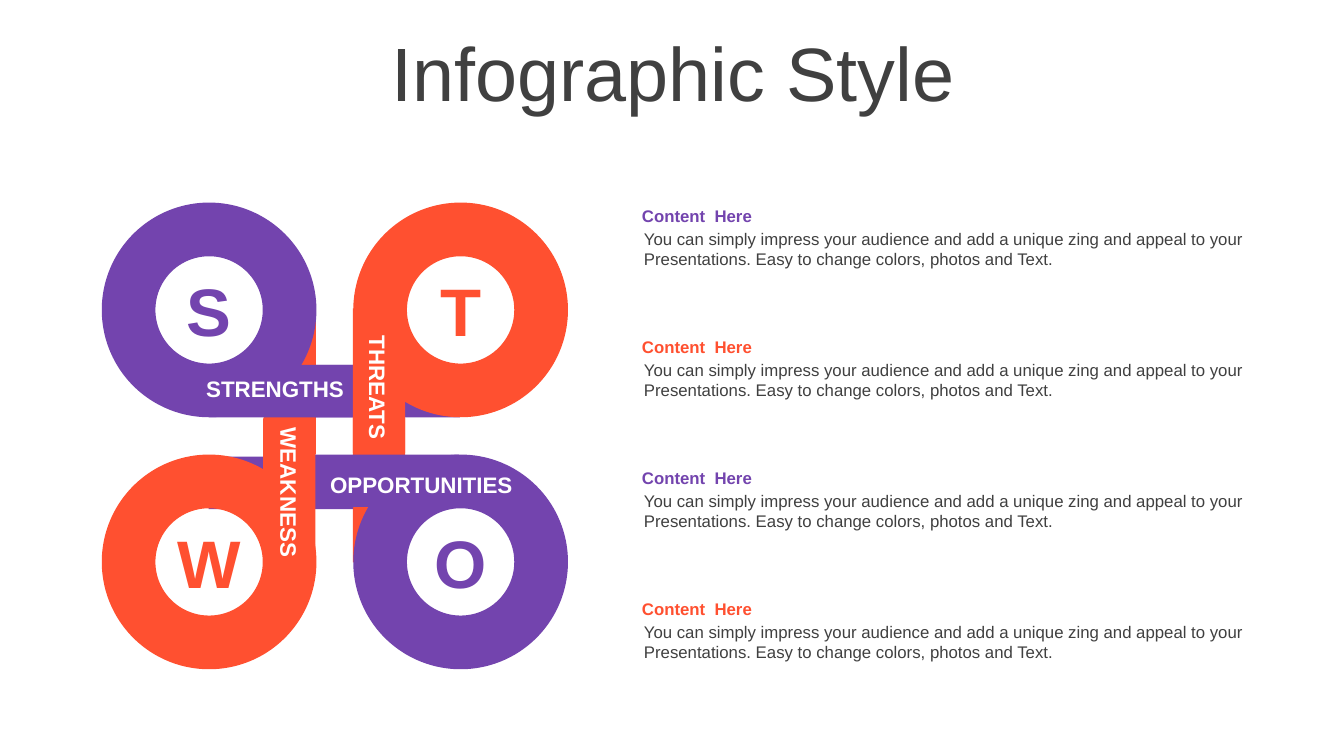
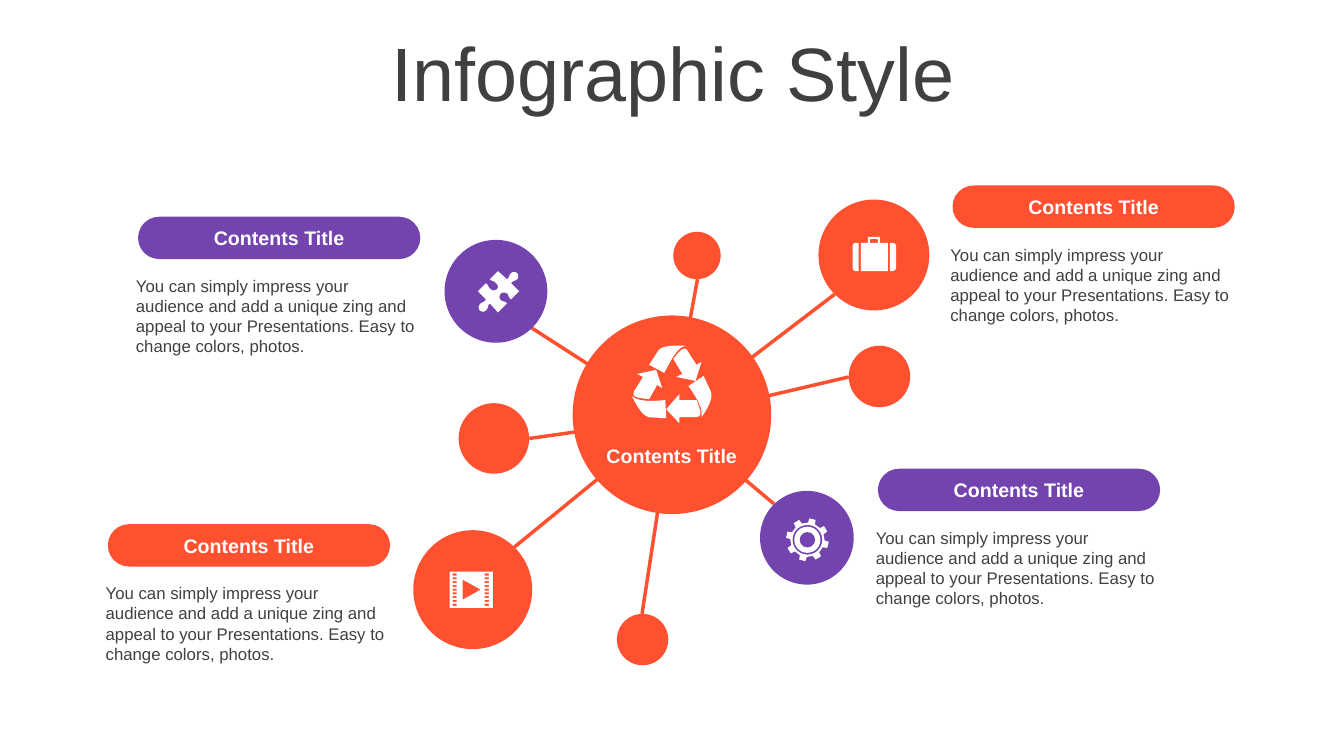
"""Build two infographic slides: a SWOT knot and a hub with satellites."""
import math
from dataclasses import dataclass

import pptx
import pptx.dml.color
import pptx.enum.shapes
import pptx.enum.text
import pptx.oxml.ns
import pptx.shapes.autoshape
import pptx.slide
import pptx.util
from lxml import etree

RGB = pptx.dml.color.RGBColor
SHAPE = pptx.enum.shapes.MSO_SHAPE
ALIGN = pptx.enum.text.PP_ALIGN
ANCHOR = pptx.enum.text.MSO_ANCHOR

PURPLE = RGB(0x73, 0x44, 0xAE)
ORANGE = RGB(0xFF, 0x50, 0x30)
WHITE = RGB(0xFF, 0xFF, 0xFF)
GREY = RGB(0x40, 0x40, 0x40)
FONT = "Arial"

WIDTH, HEIGHT = 12192000, 6858000
COLUMNS = 80
CELL = WIDTH / COLUMNS
DOT = 0.06
FINE = 100

DONUT = 12.78
BAR_LENGTH, BAR_WIDTH = 8.6, 3.12
HUB_X, HUB_Y, HUB_SIZE = 40, 24.69, 11.82
LINES_Y = 24.9

BLURB = ("You can simply impress your audience and add a unique zing and "
         "appeal to your Presentations. Easy to change colors, photos")

PUZZLE = """M 39 2 C 40 3 41 6 39 8 C 37 10 35 9 33 12 L 41 20 L 33 28
C 30 26 31 24 29 22 C 27 21 24 21 23 22 C 21 24 21 27 23 29 C 26 31 26 29 29 32
L 20 41 L 12 32 C 9 35 11 36 8 39 C 6 41 3 40 2 39 C 1 37 0 35 2 33
C 4 30 6 32 8 28 L 0 20 L 8 12 C 11 14 10 16 13 18 C 15 20 17 19 19 18
C 20 17 21 14 18 12 C 16 9 15 11 12 8 L 20 0 L 29 8 C 32 6 30 5 33 2
C 35 0 38 1 39 2"""
SUITCASE = """M 37 6 L 40 6 C 41 6 43 7 43 9 L 43 31 C 43 32 41 34 40 34 L 37 34
M 3 6 L 6 6 L 6 34 L 3 34 C 1 34 0 32 0 31 L 0 9 C 0 7 1 6 3 6
M 19 2 C 18 2 17 3 17 3 L 17 6 L 25 6 L 25 3 C 25 3 24 2 24 2
M 17 0 L 26 0 C 27 0 27 0 27 1 L 27 6 L 35 6 L 35 34 L 8 34 L 8 6 L 15 6
L 15 1 C 15 0 16 0 17 0"""
RECYCLE = """M 0 50 C 6 56 21 55 33 54 L 34 72 L 17 71 C 11 70 5 61 0 50
M 47 48 L 47 54 L 64 54 C 67 62 71 70 64 71 L 47 71 L 47 77 L 34 63
M 71 30 L 78 45 C 81 51 76 61 69 71 C 71 62 63 50 56 40
M 24 24 L 30 42 L 25 39 L 17 53 C 8 52 -1 52 2 45 L 11 31 L 5 28
M 52 3 C 53 3 54 3 55 5 L 64 19 L 69 16 L 63 35 L 44 31 L 50 28 L 41 13
C 45 8 49 3 52 3
M 44 0 C 47 0 50 0 53 0 C 44 2 38 16 32 27 L 17 19 L 26 5 C 29 1 35 0 44 0"""

Point = tuple[float, float]
Contour = list[Point]
Shape = pptx.shapes.autoshape.Shape
Slide = pptx.slide.Slide


@dataclass(frozen=True)
class Arm:
    """One SWOT ring, its bar, the bar passing under it and its label."""
    word: str
    color: RGB
    ring: Point
    under: Point
    bar: Point
    label: Point
    upright: bool


@dataclass(frozen=True)
class Satellite:
    """A disc around the hub, with the point where its line starts."""
    center: Point
    size: float
    joint: Point
    color: RGB = ORANGE


@dataclass(frozen=True)
class Card:
    """A pill heading with a paragraph below."""
    left: float
    top: float
    color: RGB


ARMS = [
    Arm("STRENGTHS", PURPLE, (6.06, 12.06), (15.69, 18.45), (12.42, 21.72), (16.38, 23.13), False),
    Arm("THREATS", ORANGE, (21.03, 12.06), (18.78, 21.72), (21, 18.36), (22.5, 23.07), True),
    Arm("OPPORTUNITIES", PURPLE, (21.03, 27.06), (21, 24.87), (18.72, 27.06), (25.08, 28.83), False),
    Arm("WEAKNESS", ORANGE, (6.06, 27.06), (12.42, 27.18), (15.66, 24.9), (17.22, 29.31), True),
]
SATELLITES = [
    Satellite((52.02, 15.18), 6.6, (49.68, 17.52)),
    Satellite((29.52, 17.34), 6.12, (31.62, 19.5), PURPLE),
    Satellite((28.14, 35.1), 7.08, (30.6, 32.58)),
    Satellite((48.03, 32.01), 5.58, (46.08, 30), PURPLE),
    Satellite((52.35, 22.41), 3.66, (50.52, 22.44)),
    Satellite((29.4, 26.1), 4.2, (31.5, 26.1)),
    Satellite((38.25, 38.07), 3.06, (38.22, 36.54)),
    Satellite((41.49, 15.21), 2.82, (41.52, 16.62)),
]
CARDS = [
    Card(56.7, 11.04, ORANGE),
    Card(52.26, 27.9, PURPLE),
    Card(6.42, 31.2, ORANGE),
    Card(8.22, 12.9, PURPLE),
]


def cells(*values: float) -> list[int]:
    """Turn grid cells into EMU."""
    return [round(v * CELL) for v in values]


def paint(sp: Shape, color: RGB) -> Shape:
    """Give a shape a flat fill without line or shadow."""
    sp.shadow.inherit = False
    sp.fill.solid()
    sp.fill.fore_color.rgb = color
    sp.line.fill.background()
    return sp


def write(sp: Shape, text: str, size: float, color: RGB, bold: bool = True,
          align: ALIGN = ALIGN.CENTER, anchor: ANCHOR = ANCHOR.MIDDLE) -> None:
    """Set and format the text of a shape."""
    tf = sp.text_frame
    tf.word_wrap = True
    tf.vertical_anchor = anchor
    tf.text = text
    p = tf.paragraphs[0]
    p.alignment = align
    font = p.runs[0].font
    font.name, font.size, font.bold = FONT, pptx.util.Pt(size), bold
    font.color.rgb = color


def add_shape(slide: Slide, kind: SHAPE, x: float, y: float, w: float,
              h: float, color: RGB) -> Shape:
    """Add a flat preset shape."""
    return paint(slide.shapes.add_shape(kind, *cells(x, y, w, h)), color)


def add_disc(slide: Slide, center: Point, size: float, color: RGB) -> None:
    """Add a circle around a centre."""
    x, y = center
    add_shape(slide, SHAPE.OVAL, x - size / 2, y - size / 2, size, size, color)


def add_text(slide: Slide, x: float, y: float, w: float, h: float) -> Shape:
    """Add an empty text box."""
    return slide.shapes.add_textbox(*cells(x, y, w, h))


def add_body(slide: Slide, x: float, y: float, w: float, h: float, text: str) -> None:
    """Add a grey paragraph."""
    write(add_text(slide, x, y, w, h), text, 12, GREY, False, ALIGN.LEFT, ANCHOR.TOP)


def add_title(slide: Slide) -> None:
    """Add the shared slide title."""
    sp = add_text(slide, 2.1, 2.22, 75.96, 4.74)
    write(sp, "Infographic Style", 54, GREY, False)
    sp.text_frame.paragraphs[0].line_spacing = 0.9


def outline(drawing: str, steps: int = 6) -> list[Contour]:
    """Read move, line and curve commands into contours of points."""
    contours: list[Contour] = []
    tokens = iter(drawing.split())
    for command in tokens:
        count = 3 if command == "C" else 1
        pts = [(float(next(tokens)), float(next(tokens))) for _ in range(count)]
        if command == "M":
            contours.append(pts)
        elif command == "L":
            contours[-1] += pts
        else:
            curve = [contours[-1][-1], *pts]
            for t in (i / steps for i in range(1, steps + 1)):
                weights = [math.comb(3, k) * t ** k * (1 - t) ** (3 - k) for k in range(4)]
                contours[-1].append((sum(a * q[0] for a, q in zip(weights, curve)),
                                     sum(a * q[1] for a, q in zip(weights, curve))))
    return contours


def box(x: float, y: float, w: float, h: float) -> Contour:
    """Return the corners of a rectangle."""
    return [(x, y), (x + w, y), (x + w, y + h), (x, y + h)]


def film() -> list[Contour]:
    """Return a film frame with punched edges and a play mark."""
    holes = [box(x, 2 + 3.75 * row, 4, 2) for x in (3, 35) for row in range(9)]
    return [box(0, 0, 43, 36), [(13, 8), (13, 28), (31, 18)], *holes]


def gear(teeth: int = 8) -> list[Contour]:
    """Return a gear outline around the origin."""
    corners = [(-12, 17), (-8.5, 21.3), (8.5, 21.3), (12, 17)]
    pts = []
    for tooth in range(teeth):
        for turn, radius in corners:
            angle = math.radians(14 + 360 / teeth * tooth + turn)
            pts.append((radius * math.sin(angle), -radius * math.cos(angle)))
    return [pts]


def add_icon(slide: Slide, x: float, y: float, contours: list[Contour]) -> None:
    """Draw contours as one white freeform."""
    fine = [[(a * FINE, b * FINE) for a, b in c] for c in contours]
    builder = slide.shapes.build_freeform(*fine[0][0], scale=DOT * CELL / FINE)
    for i, pts in enumerate(fine):
        if i:
            builder.move_to(*pts[0])
        builder.add_line_segments(pts[1:], close=True)
    paint(builder.convert_to_shape(*cells(x, y)), WHITE)


def add_bar(slide: Slide, at: Point, upright: bool, color: RGB) -> None:
    """Add a bar of the knot."""
    size = (BAR_WIDTH, BAR_LENGTH) if upright else (BAR_LENGTH, BAR_WIDTH)
    add_shape(slide, SHAPE.RECTANGLE, *at, *size, color)


def swot_slide(slide: Slide) -> None:
    """Draw the SWOT knot and its four notes."""
    add_title(slide)
    for i in range(4):
        top = 11.94 + 7.8 * i
        heading = add_text(slide, 37.62, top, 37.14, 1.8)
        write(heading, "Content  Here", 12, (PURPLE, ORANGE)[i % 2], align=ALIGN.LEFT)
        add_body(slide, 37.74, top + 1.38, 37.02, 3, BLURB + " and Text.")
    for arm in ARMS:
        other = PURPLE if arm.color == ORANGE else ORANGE
        add_bar(slide, arm.under, not arm.upright, other)
        add_shape(slide, SHAPE.DONUT, *arm.ring, DONUT, DONUT, arm.color)
        add_bar(slide, arm.bar, arm.upright, arm.color)
    for arm in ARMS:
        write(add_text(slide, *arm.ring, DONUT, DONUT), arm.word[0], 48, arm.color)
        x, y = arm.label
        label = add_text(slide, x - 6.18, y - 1.11, 12.36, 2.22)
        label.rotation = 90 if arm.upright else 0
        write(label, arm.word, 16, WHITE)


def hub_slide(slide: Slide) -> None:
    """Draw the hub, its satellites, icons and cards."""
    add_title(slide)
    for sat in SATELLITES:
        line = slide.shapes.add_connector(pptx.enum.shapes.MSO_CONNECTOR.STRAIGHT,
                                          *cells(*sat.joint, HUB_X, LINES_Y))
        line.line.color.rgb = ORANGE
        line.line.width = pptx.util.Pt(2.5)
        etree.SubElement(line._element.spPr, pptx.oxml.ns.qn("a:effectLst"))
    add_disc(slide, (HUB_X, HUB_Y), HUB_SIZE, ORANGE)
    for sat in SATELLITES:
        add_disc(slide, sat.center, sat.size, sat.color)
    for card in CARDS:
        pill = add_shape(slide, SHAPE.ROUNDED_RECTANGLE, card.left, card.top, 16.8, 2.52, card.color)
        pill.adjustments[0] = 0.5
        write(pill, "Contents Title", 14, WHITE)
        add_body(slide, card.left - 0.72, card.top + 3.21, 18.18, 5.46, BLURB + ".")
    write(add_text(slide, 34.68, 26.1, 10.62, 2.04), "Contents Title", 14, WHITE)
    add_icon(slide, 28.44, 16.14, outline(PUZZLE))
    add_icon(slide, 26.76, 34.02, film())
    add_icon(slide, 50.76, 14.1, outline(SUITCASE))
    add_icon(slide, 37.62, 20.58, outline(RECYCLE))
    gear_center = (48.06, 32.13)
    add_icon(slide, *gear_center, gear())
    for size, color in ((1.76, PURPLE), (1.56, WHITE), (0.92, PURPLE)):
        add_disc(slide, gear_center, size, color)


def main() -> None:
    """Build and save the presentation."""
    prs = pptx.Presentation()
    prs.slide_width, prs.slide_height = WIDTH, HEIGHT
    for draw in (swot_slide, hub_slide):
        draw(prs.slides.add_slide(prs.slide_layouts[6]))
    prs.save("out.pptx")


if __name__ == "__main__":
    main()
